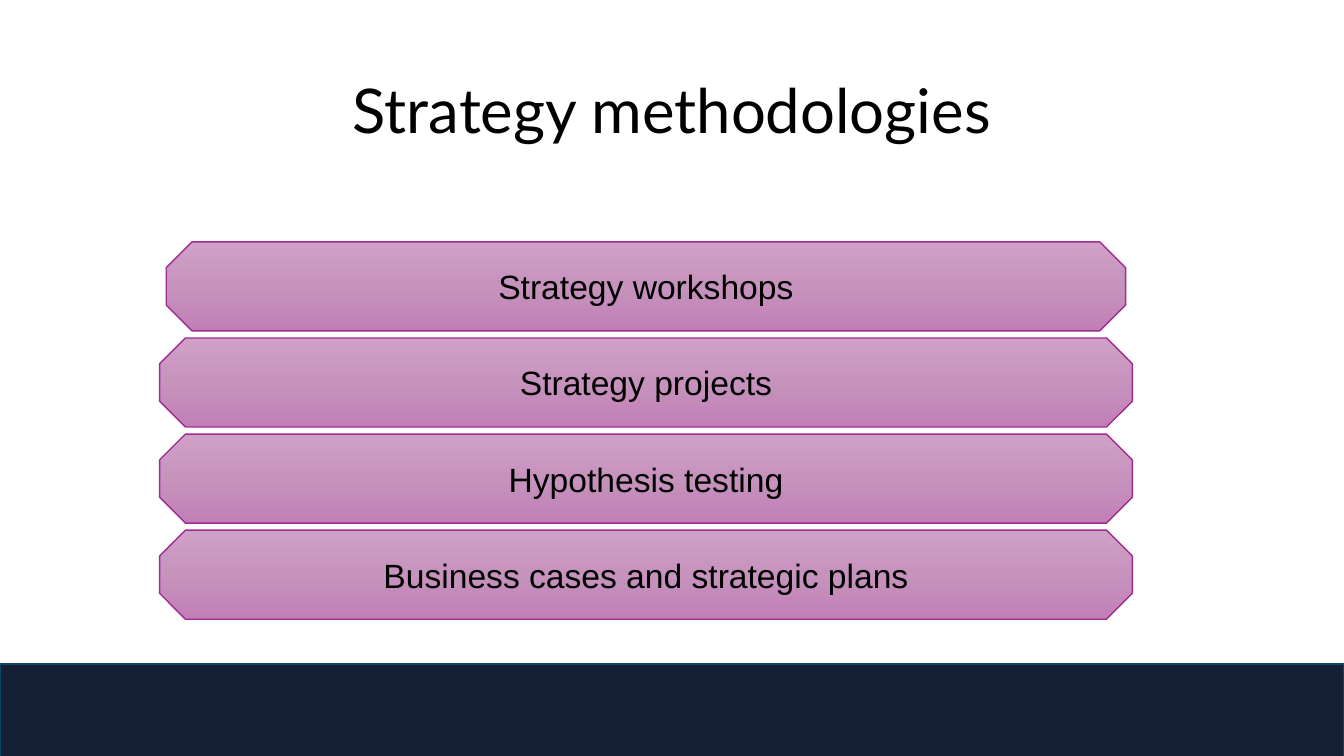
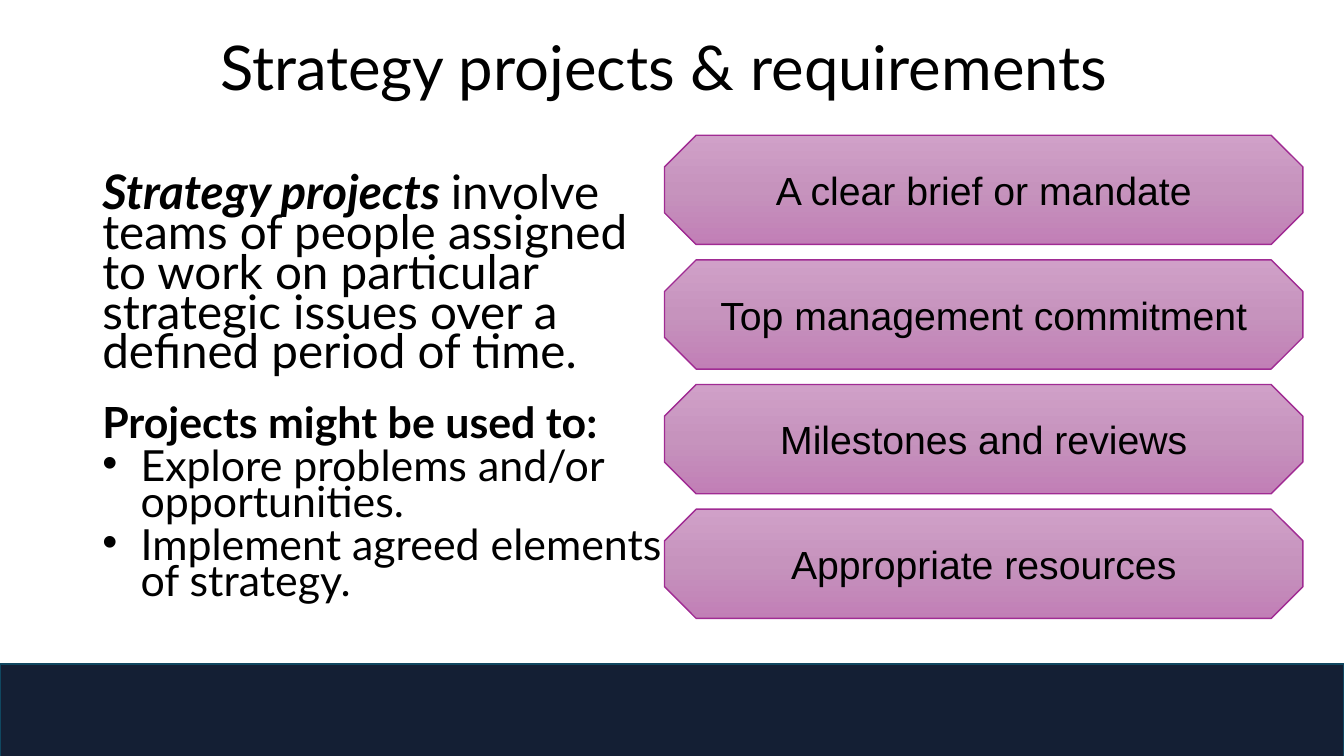
from copy import deepcopy
from dataclasses import dataclass

from lxml import etree
from pptx import Presentation
from pptx import util as u
from pptx.dml.color import RGBColor
from pptx.enum import shapes, text
from pptx.oxml.ns import qn


@dataclass(frozen=True)
class Theme:
    ink: str = "000000"
    band: str = "141F34"
    band_line: str = "104760"
    card_line: str = "A02B93"
    card_fill: tuple = ((0, "D0A0C8"), (0.5, "C693BD"), (1, "C17FB6"))
    heading_font: str = "Lato"
    card_font: str = "Arial"
    title_size: float = 44
    lead_size: float = 34
    list_size: float = 30.6


theme = Theme()
deck = Presentation()
deck.slide_width, deck.slide_height = u.Inches(13.33), u.Inches(7.5)

# Grid: 160 columns by 90 rows
COLUMNS, ROWS = 160, 90
BAND_ROW = 79
MARGIN, TITLE_COLUMNS = 11, 138


def place(left, top, width, height):
    """Turn grid columns and rows into slide lengths."""
    column, row = deck.slide_width / COLUMNS, deck.slide_height / ROWS
    return [u.Emu(round(n)) for n in (left * column, top * row, width * column, height * row)]


def add_span(para, words, font, size, bold=False, italic=False):
    span = para.add_run()
    span.text = words
    span.font.name, span.font.size = font, u.Pt(size)
    span.font.bold, span.font.italic = bold, italic
    span.font.color.rgb = RGBColor.from_string(theme.ink)


# Per slide: title with its top and height, then the cards' size, place and wording
slides = [
    dict(title="Strategy methodologies", title_rows=(4.8, 17.4),
         first_row=28.8, pitch=11.44, height=10.6, size=24,
         cards=[("Strategy workshops", 19.8, 114.2),
                ("Strategy projects", 19, 115.8),
                ("Hypothesis testing", 19, 115.8),
                ("Business cases and strategic plans", 19, 115.8)]),
    dict(title="Strategy projects & requirements ", title_rows=(0, 16.7),
         first_row=16.1, pitch=14.84, height=13, size=28,
         cards=[(words, 79.1, 76) for words in (
             "A clear brief or mandate", "Top management commitment",
             "Milestones and reviews", "Appropriate resources")]),
]

for content in slides:
    page = deck.slides.add_slide(deck.slide_layouts[6])

    # Title
    top, height = content["title_rows"]
    box = page.shapes.add_textbox(*place(MARGIN, top, TITLE_COLUMNS, height))
    box.text_frame.word_wrap = True
    box.text_frame.vertical_anchor = text.MSO_ANCHOR.MIDDLE
    para = box.text_frame.paragraphs[0]
    para.alignment, para.line_spacing = text.PP_ALIGN.CENTER, 0.9
    add_span(para, content["title"], theme.heading_font, theme.title_size)

    # Bottom band
    band = page.shapes.add_shape(shapes.MSO_SHAPE.RECTANGLE,
                                 *place(0, BAND_ROW, COLUMNS, 11.6))
    band.shadow.inherit = False
    band.fill.solid()
    band.fill.fore_color.rgb = RGBColor.from_string(theme.band)
    band.line.color.rgb = RGBColor.from_string(theme.band_line)
    band.line.width = u.Pt(1.5)

    # Stacked cards
    for index, (words, left, width) in enumerate(content["cards"]):
        row = content["first_row"] + index * content["pitch"]
        card = page.shapes.add_shape(shapes.MSO_SHAPE.OCTAGON,
                                     *place(left, row, width, content["height"]))
        card.adjustments[0] = 0.29
        card.shadow.inherit = False
        card.line.color.rgb = RGBColor.from_string(theme.card_line)
        card.line.width = u.Pt(1)

        # Three-stop gradient, running downwards
        card.fill.gradient()
        card.fill.gradient_angle = 270
        first_stop = next(card.element.spPr.iter(qn("a:gs")))
        first_stop.addnext(deepcopy(first_stop))
        for stop, (position, colour) in zip(card.fill.gradient_stops, theme.card_fill):
            stop.position = position
            stop.color.rgb = RGBColor.from_string(colour)

        card.text_frame.word_wrap = False
        card.text_frame.vertical_anchor = text.MSO_ANCHOR.MIDDLE
        para = card.text_frame.paragraphs[0]
        para.alignment = text.PP_ALIGN.CENTER
        add_span(para, words, theme.card_font, content["size"])

# Explanation on the second slide: space before, bulleted, size, spans
explanation = [
    (10, False, theme.lead_size,
     [("Strategy projects ", True, True),
      ("involve teams of people assigned to work on particular strategic issues "
       "over a defined period of time.", False, False)]),
    (23.5, False, theme.list_size, [("Projects might be used to:", True, False)]),
    (5, True, theme.list_size, [("Explore problems and/or opportunities.", False, False)]),
    (5, True, theme.list_size, [("Implement agreed elements of strategy.", False, False)]),
]
box = page.shapes.add_textbox(*place(MARGIN, 20.5, 69, 57))
frame = box.text_frame
frame.word_wrap = True
for index, (space, bulleted, size, spans) in enumerate(explanation):
    para = frame.add_paragraph() if index else frame.paragraphs[0]
    para.line_spacing, para.space_before = 0.7, u.Pt(space)
    for words, bold, italic in spans:
        add_span(para, words, theme.heading_font, size, bold, italic)
    if bulleted:
        props = para._p.get_or_add_pPr()
        props.set("marL", str(u.Inches(0.38)))
        props.set("indent", str(-u.Inches(0.38)))
        etree.SubElement(props, qn("a:buFont"), typeface=theme.card_font)
        etree.SubElement(props, qn("a:buChar"), char="•")

deck.save("out.pptx")
